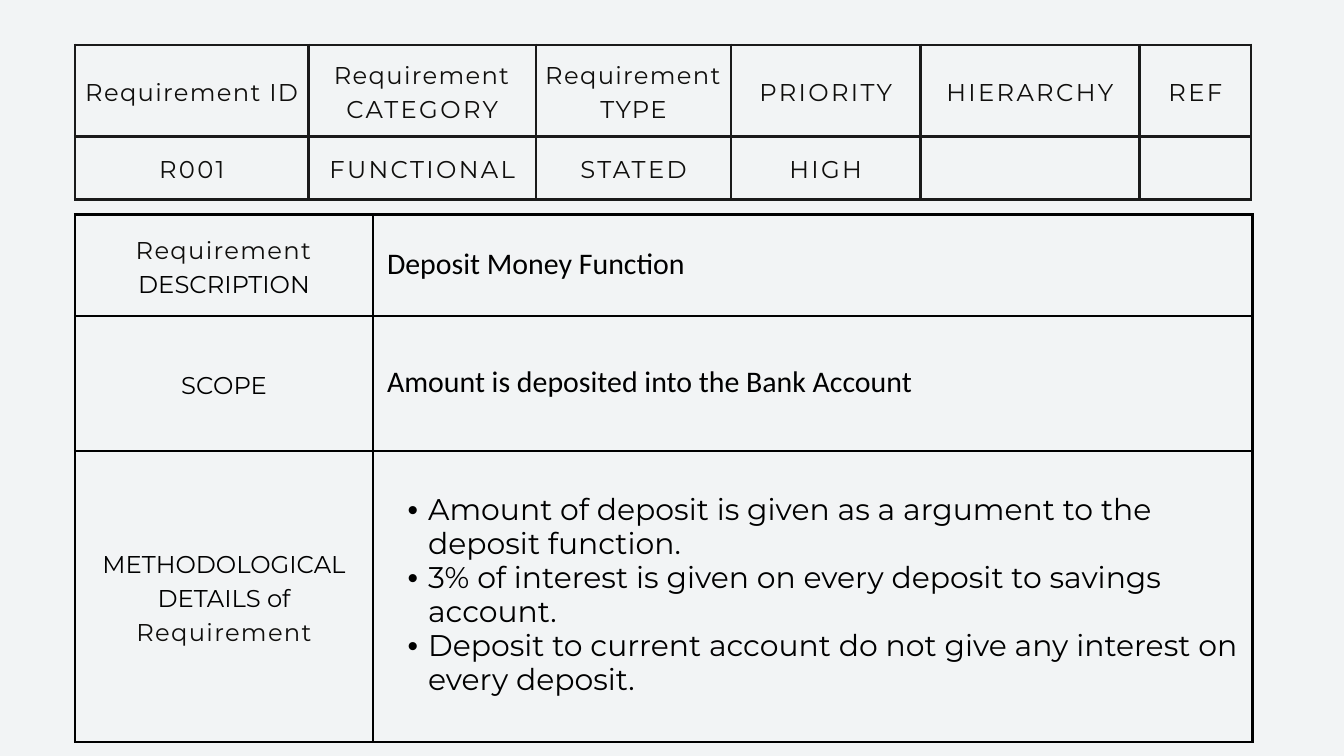
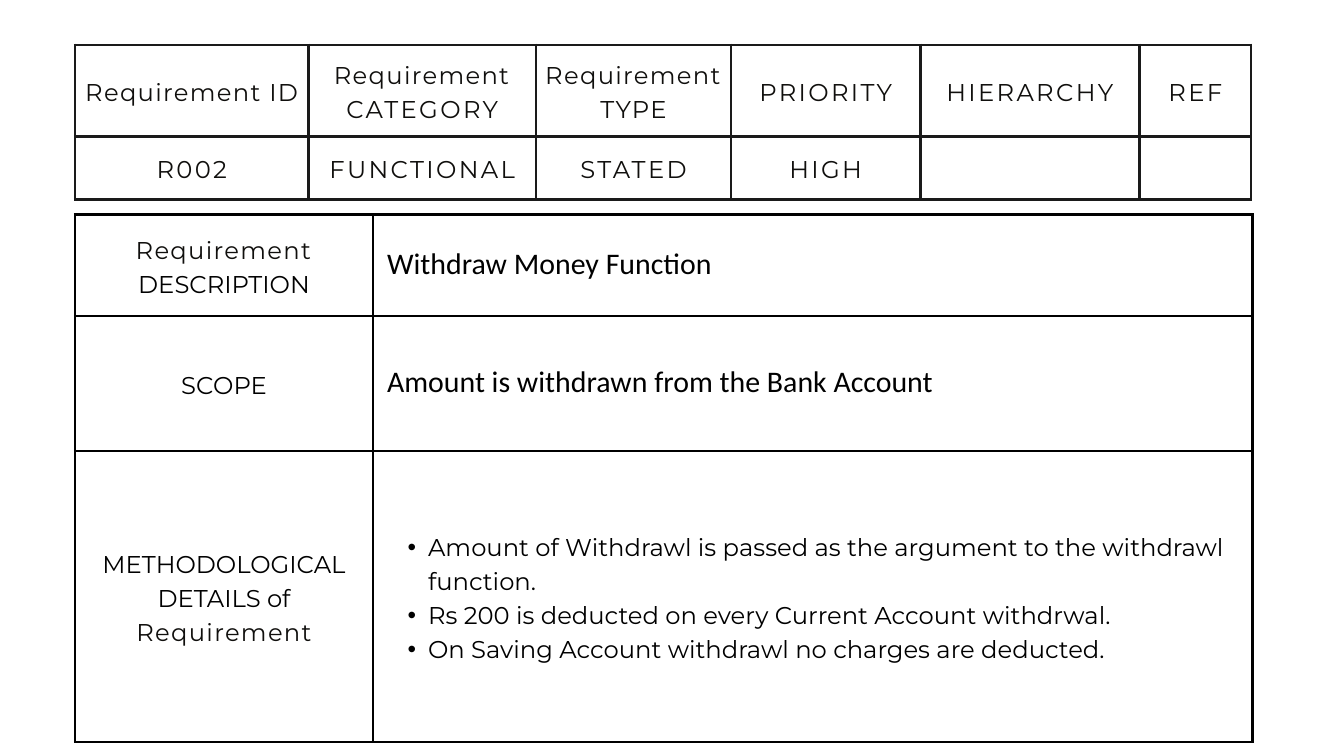
"""Build two requirement sheets, each with a summary table and a details table."""
from dataclasses import dataclass, replace

from lxml import etree
from pptx import Presentation
from pptx.dml.color import RGBColor
from pptx.enum import text
from pptx.oxml import ns
from pptx.util import Pt

MIST = RGBColor(0xF2, 0xF4, 0xF5)
WHITE = RGBColor(0xFF, 0xFF, 0xFF)
BLACK = RGBColor(0x00, 0x00, 0x00)
NEAR_BLACK = RGBColor(0x01, 0x01, 0x01)
INK = RGBColor(0x10, 0x0F, 0x0D)
CHARCOAL = RGBColor(0x1A, 0x1A, 0x1A)

TABLE_LEFT = 80.6
LINE_SPACING = 36.4
BORDER_WIDTH = 3
BULLET_INDENT = 22


@dataclass(frozen=True)
class Style:
    font: str = "Montserrat"
    size: float = 26
    color: RGBColor = BLACK
    spacing: float = 0


PLAIN = Style()
LABEL = Style(color=INK, spacing=1.4)
WIDE = replace(LABEL, spacing=2.5)
STATEMENT = Style(font="Calibri", size=32)


@dataclass(frozen=True)
class Run:
    text: str
    style: Style


@dataclass(frozen=True)
class Cell:
    paragraphs: tuple[tuple[Run, ...], ...] = ()
    centered: bool = True
    bulleted: bool = False


@dataclass(frozen=True)
class Grid:
    top: float
    columns: tuple[float, ...]
    rows: tuple[float, ...]
    inset: float
    border: RGBColor


@dataclass(frozen=True)
class Requirement:
    code: str
    background: RGBColor
    description: str
    scope: str
    details: tuple[str, ...]
    details_style: Style


SUMMARY = Grid(48.2, (249.8, 244.1, 208.8, 203, 234.7, 119.5), (97.9, 67.7), 8.64, CHARCOAL)
DETAILS = Grid(229.7, (319, 942.5), (108.7, 144.7, 311.8), 15.12, BLACK)

REQUIREMENTS = (
    Requirement(
        "R001", MIST, "Deposit Money Function",
        "Amount is deposited into the Bank Account",
        ("Amount of deposit is given as a argument to the deposit function.",
         "3% of interest is given on every deposit to savings account.",
         "Deposit to current account do not give any interest on every deposit."),
        replace(PLAIN, size=32),
    ),
    Requirement(
        "R002", WHITE, "Withdraw Money Function",
        "Amount is withdrawn from the Bank Account",
        ("Amount of Withdrawl is passed as the argument to the withdrawl function.",
         "Rs 200 is deducted on every Current Account withdrwal.",
         "On Saving Account withdrawl no charges are deducted."),
        PLAIN,
    ),
)


def centered(*runs: Run) -> Cell:
    return Cell((runs,))


def statement(words: str) -> Cell:
    return Cell(((Run(words, STATEMENT),),), centered=False)


def add_bullet(p) -> None:
    pPr = p._p.get_or_add_pPr()
    pPr.set("marL", str(Pt(2 * BULLET_INDENT)))
    pPr.set("indent", str(-Pt(BULLET_INDENT)))
    etree.SubElement(pPr, ns.qn("a:buFont")).set("typeface", "Arial")
    etree.SubElement(pPr, ns.qn("a:buChar")).set("char", "•")


def add_run(p, run: Run) -> None:
    r = p.add_run()
    r.text = run.text
    r.font.name = run.style.font
    r.font.size = Pt(run.style.size)
    r.font.color.rgb = run.style.color
    r._r.get_or_add_rPr().set("spc", str(round(run.style.spacing * 100)))


def draw_borders(cell, color: RGBColor) -> None:
    tcPr = cell._tc.get_or_add_tcPr()
    for side in ("lnL", "lnR", "lnT", "lnB"):
        ln = etree.SubElement(tcPr, ns.qn(f"a:{side}"), w=str(Pt(BORDER_WIDTH)))
        fill = etree.SubElement(ln, ns.qn("a:solidFill"))
        etree.SubElement(fill, ns.qn("a:srgbClr"), val=str(color))


def fill_cell(cell, content: Cell, grid: Grid) -> None:
    draw_borders(cell, grid.border)
    cell.fill.background()
    cell.vertical_anchor = text.MSO_ANCHOR.MIDDLE
    cell.margin_left = cell.margin_right = Pt(grid.inset)
    cell.margin_top = cell.margin_bottom = Pt(grid.inset)
    tf = cell.text_frame
    for i, runs in enumerate(content.paragraphs):
        p = tf.add_paragraph() if i else tf.paragraphs[0]
        p.alignment = text.PP_ALIGN.CENTER if content.centered else text.PP_ALIGN.LEFT
        p.line_spacing = Pt(LINE_SPACING)
        if content.bulleted:
            p.level = 1
            add_bullet(p)
        for run in runs:
            add_run(p, run)


def add_grid(slide, grid: Grid, contents: list[list[Cell]]) -> None:
    table = slide.shapes.add_table(
        len(grid.rows), len(grid.columns), Pt(TABLE_LEFT), Pt(grid.top),
        Pt(sum(grid.columns)), Pt(sum(grid.rows))).table
    table.first_row = table.horz_banding = False
    for column, width in zip(table.columns, grid.columns):
        column.width = Pt(width)
    for row, height, cells in zip(table.rows, grid.rows, contents):
        row.height = Pt(height)
        for cell, content in zip(row.cells, cells):
            fill_cell(cell, content, grid)


def summary_cells(req: Requirement) -> list[list[Cell]]:
    headings = [
        centered(Run("Requirement ID", LABEL)),
        centered(Run("Requirement ", LABEL), Run("CATEGORY", WIDE)),
        centered(Run("Requirement TYPE", LABEL)),
        *(centered(Run(word, WIDE)) for word in ("PRIORITY", "HIERARCHY", "REF")),
    ]
    values = [centered(Run(word, WIDE)) for word in (req.code, "FUNCTIONAL", "STATED", "HIGH")]
    return [headings, values + [Cell(), Cell()]]


def detail_cells(req: Requirement) -> list[list[Cell]]:
    bullets = tuple((Run(line, req.details_style),) for line in req.details)
    return [
        [centered(Run("Requirement ", LABEL),
                  Run("DESCRIPTION", replace(PLAIN, color=NEAR_BLACK))),
         statement(req.description)],
        [centered(Run("SCOPE", PLAIN)), statement(req.scope)],
        [centered(Run("METHODOLOGICAL DETAILS of ", PLAIN), Run("Requirement", LABEL)),
         Cell(bullets, centered=False, bulleted=True)],
    ]


def add_requirement(prs, req: Requirement) -> None:
    slide = prs.slides.add_slide(prs.slide_layouts[6])
    slide.background.fill.solid()
    slide.background.fill.fore_color.rgb = req.background
    add_grid(slide, SUMMARY, summary_cells(req))
    add_grid(slide, DETAILS, detail_cells(req))


def main() -> None:
    prs = Presentation()
    prs.slide_width, prs.slide_height = Pt(1440), Pt(810)
    for req in REQUIREMENTS:
        add_requirement(prs, req)
    prs.save("out.pptx")


if __name__ == "__main__":
    main()
